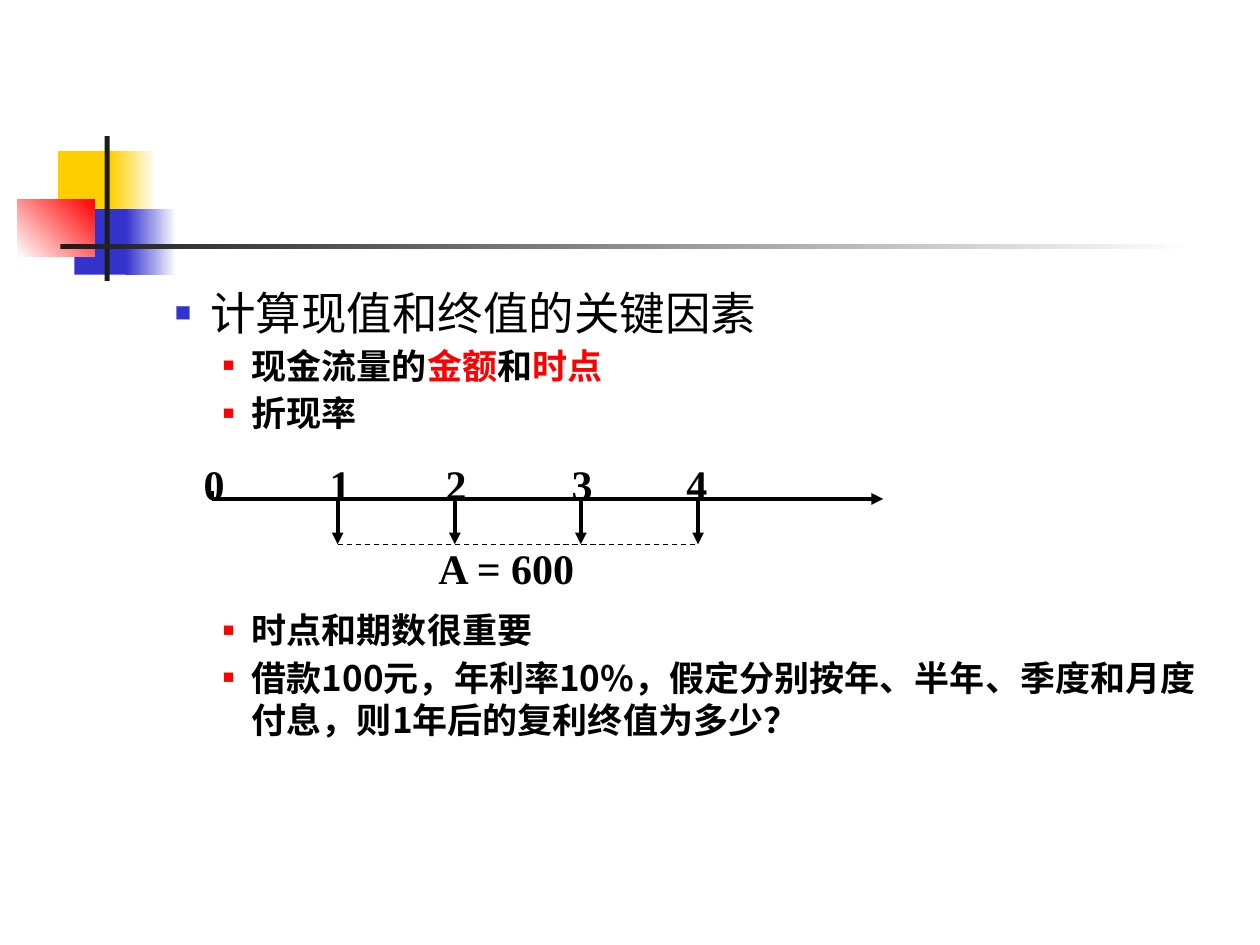
import pptx
import pptx.util
import pptx.dml.color
import pptx.enum.dml
import pptx.enum.shapes
import pptx.enum.text
import pptx.oxml
import pptx.oxml.ns
from dataclasses import dataclass

SCALE = 9144  # EMU per px, 100 px to the inch
SANS, SERIF = "Noto Sans CJK SC", "Times New Roman"
BLACK, RED, BLUE = "000000", "FF0000", "3333CC"
WHITE, GOLD, DARK = "FFFFFF", "FFCF01", "1C1C1C"
ALIGN = pptx.enum.text.PP_ALIGN


@dataclass
class Block:
    box: tuple
    start: str
    end: str = ""
    angle: int = 0


@dataclass
class Item:
    runs: list
    level: int = 1
    gap: int = 3


@dataclass
class Line:
    ends: tuple
    width: float = 2.25
    arrow: bool = False
    dash: bool = False


def px(*nums: int) -> list:
    return [pptx.util.Emu(n * SCALE) for n in nums]


def color(text: str):
    return pptx.dml.color.RGBColor.from_string(text)


def add_xml(parent, tag: str, **attrs):
    node = pptx.oxml.ns.qn(tag)
    child = parent.makeelement(node, attrs)
    parent.append(child)
    return child


def style(font, tint: str, **values) -> None:
    for name, value in values.items():
        setattr(font, name, value)
    font.color.rgb = color(tint)


def add_block(slide, block: Block) -> None:
    kind = pptx.enum.shapes.MSO_SHAPE.RECTANGLE
    shape = slide.shapes.add_shape(kind, *px(*block.box))
    shape.shadow.inherit = False
    shape.line.fill.background()
    if block.end:
        shape.fill.gradient()
        shape.fill.gradient_angle = block.angle
        for stop, tint in zip(shape.fill.gradient_stops, (block.start, block.end)):
            stop.color.rgb = color(tint)
    else:
        shape.fill.solid()
        shape.fill.fore_color.rgb = color(block.start)


def add_frame(slide, box: tuple):
    frame = slide.shapes.add_textbox(*px(*box)).text_frame
    frame.word_wrap = True
    return frame


def add_item(par, item: Item) -> None:
    margin, hang, size, share, tint = (
        (61, 23, 20, 55, RED) if item.level else (28, 28, 26, 60, BLUE))
    props = par._p.get_or_add_pPr()
    props.set("marL", str(margin * SCALE))
    props.set("indent", str(-hang * SCALE))
    add_xml(add_xml(props, "a:buClr"), "a:srgbClr", val=tint)
    add_xml(props, "a:buSzPct", val=str(share * 1000))
    add_xml(props, "a:buFont", typeface=SERIF)
    add_xml(props, "a:buChar", char="■")
    par.level = item.level
    par.space_before = pptx.util.Pt(item.gap)
    for text, ink in item.runs:
        run = par.add_run()
        run.text = text
        style(run.font, ink, name=SANS, size=pptx.util.Pt(size), bold=bool(item.level))
        add_xml(run._r.get_or_add_rPr(), "a:ea", typeface=SANS)


def add_label(slide, text: str, box: tuple, align=ALIGN.LEFT) -> None:
    par = add_frame(slide, box).paragraphs[0]
    par.alignment = align
    run = par.add_run()
    run.text = text
    style(run.font, BLACK, name=SERIF, size=pptx.util.Pt(24), bold=True)


def add_line(slide, line: Line) -> None:
    kind = pptx.enum.shapes.MSO_CONNECTOR.STRAIGHT
    shape = slide.shapes.add_connector(kind, *px(*line.ends))
    shape.line.width = pptx.util.Pt(line.width)
    shape.line.color.rgb = color(BLACK)
    if line.dash:
        shape.line.dash_style = pptx.enum.dml.MSO_LINE.DASH
    if line.arrow:
        add_xml(shape.line._get_or_add_ln(), "a:tailEnd", type="triangle")
    add_xml(shape._element.spPr, "a:effectLst")


BLOCKS = [
    Block((46, 120, 48, 52), GOLD),
    Block((88, 120, 36, 52), GOLD, WHITE),
    Block((59, 166, 46, 52), BLUE),
    Block((100, 166, 40, 52), BLUE, WHITE),
    Block((14, 158, 61, 46), WHITE, RED, 45),
    Block((83, 108, 4, 115), DARK),
    Block((48, 194, 900, 4), DARK, WHITE),
]
ITEMS = [
    Item([("计算现值和终值的关键因素", BLACK)], 0, 0),
    Item([("现金流量的", BLACK), ("金额", RED), ("和", BLACK), ("时点", RED)]),
    Item([("折现率", BLACK)]),
    Item([("时点和期数很重要", BLACK)], gap=100),  # room for the time line
    Item([("借款100元，年利率10%，假定分别按年、半年、季度和月度付息，"
           "则1年后的复利终值为多少？", BLACK)]),
]
TICKS = [168, 268, 361, 461, 554]
MARKS = [170, 270, 362, 462, 553]  # centres of the year numbers
AXIS, BASE = 396, 432


def main() -> None:
    deck = pptx.Presentation()
    deck.slide_width, deck.slide_height = px(1000, 750)
    slide = deck.slides.add_slide(deck.slide_layouts[6])

    # Corner ornament
    for block in BLOCKS:
        add_block(slide, block)

    # Bullet text
    frame = add_frame(slide, (129, 221, 850, 450))
    for i, item in enumerate(ITEMS):
        add_item(frame.add_paragraph() if i else frame.paragraphs[0], item)

    # Time line with yearly payments
    for year, x in enumerate(MARKS):
        add_label(slide, str(year), (x - 25, 359, 50, 50), ALIGN.CENTER)
    first, *years = TICKS
    add_line(slide, Line((first, AXIS, 701, AXIS), arrow=True))
    add_line(slide, Line((first, 390, first, AXIS)))
    for x in years:
        add_line(slide, Line((x, AXIS, x, BASE), arrow=True))
    add_label(slide, "A = 600", (338, 426, 201, 50))
    add_line(slide, Line((years[0], BASE, years[-1], BASE), 0.75, dash=True))

    deck.save("out.pptx")


if __name__ == "__main__":
    main()
